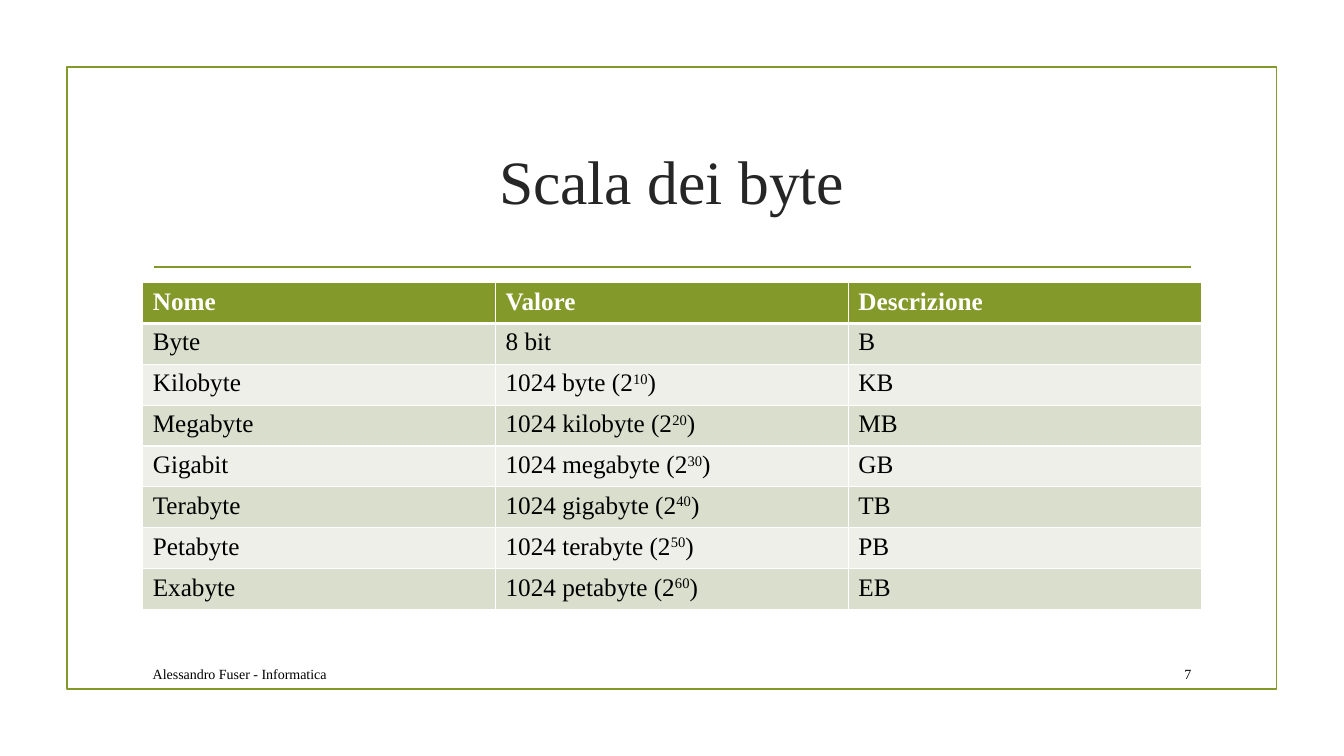
from lxml.etree import SubElement
from pptx import Presentation
from pptx.dml.color import RGBColor
from pptx.enum.shapes import MSO_CONNECTOR, MSO_SHAPE
from pptx.enum.text import MSO_ANCHOR, PP_ALIGN
from pptx.oxml import parse_xml
from pptx.oxml.ns import nsdecls, qn
from pptx.util import Pt

GREEN = RGBColor(0x83, 0x99, 0x2A)
DARK_BAND = RGBColor(0xD9, 0xDE, 0xCD)
LIGHT_BAND = RGBColor(0xED, 0xEF, 0xE8)
WHITE = RGBColor(0xFF, 0xFF, 0xFF)
BLACK = RGBColor(0, 0, 0)
TITLE_GRAY = RGBColor(0x26, 0x26, 0x26)

HEADER = ("Nome", "Valore", "Descrizione")
UNITS = (
    ("Byte", "B"),
    ("Kilobyte", "KB"),
    ("Megabyte", "MB"),
    ("Gigabit", "GB"),
    ("Terabyte", "TB"),
    ("Petabyte", "PB"),
    ("Exabyte", "EB"),
)
SMALLER_UNITS = ("byte", "kilobyte", "megabyte", "gigabyte", "terabyte", "petabyte")

CONTENT_LEFT = 102
CONTENT_WIDTH = 756
FOOTER_TOP = 470.2
FOOTER_HEIGHT = 22.3


class SlideBuilder:
    font_name = "Times New Roman"
    line_color = GREEN
    line_width = 1.25

    def __init__(self, slide):
        self.slide = slide

    def add_run(self, paragraph, text, size, color, bold=False, superscript=False):
        run = paragraph.add_run()
        run.text = text
        run.font.name = self.font_name
        run.font.size = Pt(size)
        run.font.bold = bold
        run.font.color.rgb = color
        if superscript:
            run._r.get_or_add_rPr().set("baseline", "30000")

    def style_line(self, line):
        line.color.rgb = self.line_color
        line.width = Pt(self.line_width)

    def add_frame(self, left, top, width, height):
        shape = self.slide.shapes.add_shape(
            MSO_SHAPE.RECTANGLE, Pt(left), Pt(top), Pt(width), Pt(height))
        shape.shadow.inherit = False
        shape.fill.background()
        self.style_line(shape.line)

    def add_rule(self, left, right, top):
        connector = self.slide.shapes.add_connector(
            MSO_CONNECTOR.STRAIGHT, Pt(left), Pt(top), Pt(right), Pt(top))
        self.style_line(connector.line)
        SubElement(connector._element.spPr, qn("a:effectLst"))

    def add_text(self, text, left, top, width, height, size, color, alignment):
        text_frame = self.slide.shapes.add_textbox(
            Pt(left), Pt(top), Pt(width), Pt(height)).text_frame
        text_frame.word_wrap = True
        text_frame.vertical_anchor = MSO_ANCHOR.MIDDLE
        paragraph = text_frame.paragraphs[0]
        paragraph.alignment = alignment
        self.add_run(paragraph, text, size, color)

    def set_borders(self, cell, top, bottom):
        properties = cell._tc.get_or_add_tcPr()
        widths = (("lnL", 1), ("lnR", 1), ("lnT", top), ("lnB", bottom))
        for position, (tag, width) in enumerate(widths):
            properties.insert(position, parse_xml(
                f'<a:{tag} {nsdecls("a")} w="{Pt(width)}"><a:solidFill>'
                f'<a:srgbClr val="{WHITE}"/></a:solidFill></a:{tag}>'))

    def add_table(self, rows, left, top, width, row_height):
        table = self.slide.shapes.add_table(
            len(rows), len(rows[0]), Pt(left), Pt(top),
            Pt(width), Pt(row_height * len(rows))).table
        for row_index, row in enumerate(rows):
            table.rows[row_index].height = Pt(row_height)
            is_header = row_index == 0
            band = DARK_BAND if row_index % 2 else LIGHT_BAND
            for column_index, pieces in enumerate(row):
                cell = table.cell(row_index, column_index)
                cell.fill.solid()
                cell.fill.fore_color.rgb = GREEN if is_header else band
                self.set_borders(cell, 3 if row_index == 1 else 1, 3 if is_header else 1)
                for piece_index, piece in enumerate(pieces):
                    self.add_run(
                        cell.text_frame.paragraphs[0], piece, 18,
                        WHITE if is_header else BLACK, is_header, piece_index == 1)


def byte_scale_rows():
    values = [("8 bit",)]
    for step, unit in enumerate(SMALLER_UNITS, 1):
        values.append((f"1024 {unit} (2", str(10 * step), ")"))
    rows = [[(title,) for title in HEADER]]
    for (name, symbol), value in zip(UNITS, values):
        rows.append([(name,), value, (symbol,)])
    return rows


def main():
    presentation = Presentation()
    presentation.slide_width = Pt(960)
    presentation.slide_height = Pt(540)
    builder = SlideBuilder(presentation.slides.add_slide(presentation.slide_layouts[6]))

    builder.add_frame(47.8, 48, 864, 444)
    builder.add_rule(110, 850.5, 190.8)
    builder.add_text("Scala dei byte", CONTENT_LEFT, 77, CONTENT_WIDTH, 103,
                     44, TITLE_GRAY, PP_ALIGN.CENTER)
    builder.add_table(byte_scale_rows(), CONTENT_LEFT, 201.8, CONTENT_WIDTH, 29.2)
    builder.add_text("Alessandro Fuser - Informatica", CONTENT_LEFT, FOOTER_TOP,
                     575, FOOTER_HEIGHT, 10, BLACK, PP_ALIGN.LEFT)
    builder.add_text("7", 815.5, FOOTER_TOP, 42.5, FOOTER_HEIGHT,
                     10, BLACK, PP_ALIGN.RIGHT)
    presentation.save("out.pptx")


if __name__ == "__main__":
    main()
